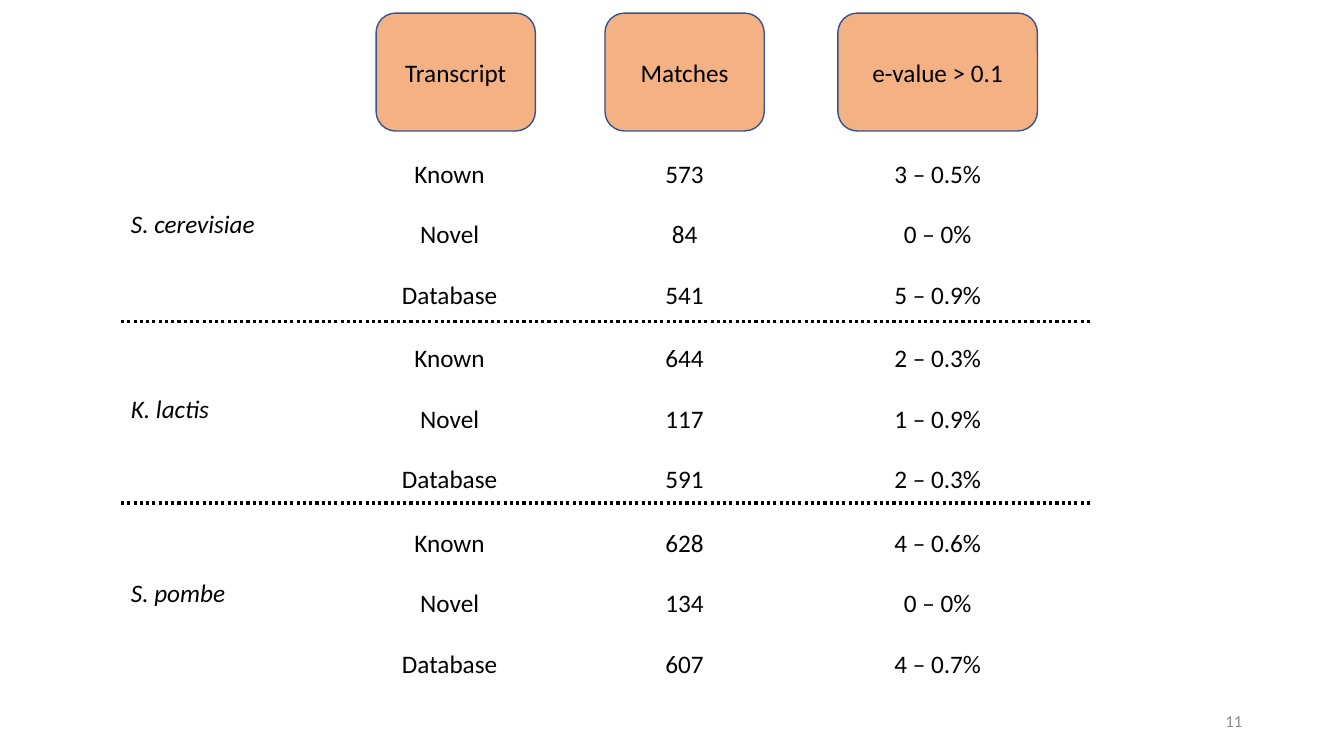
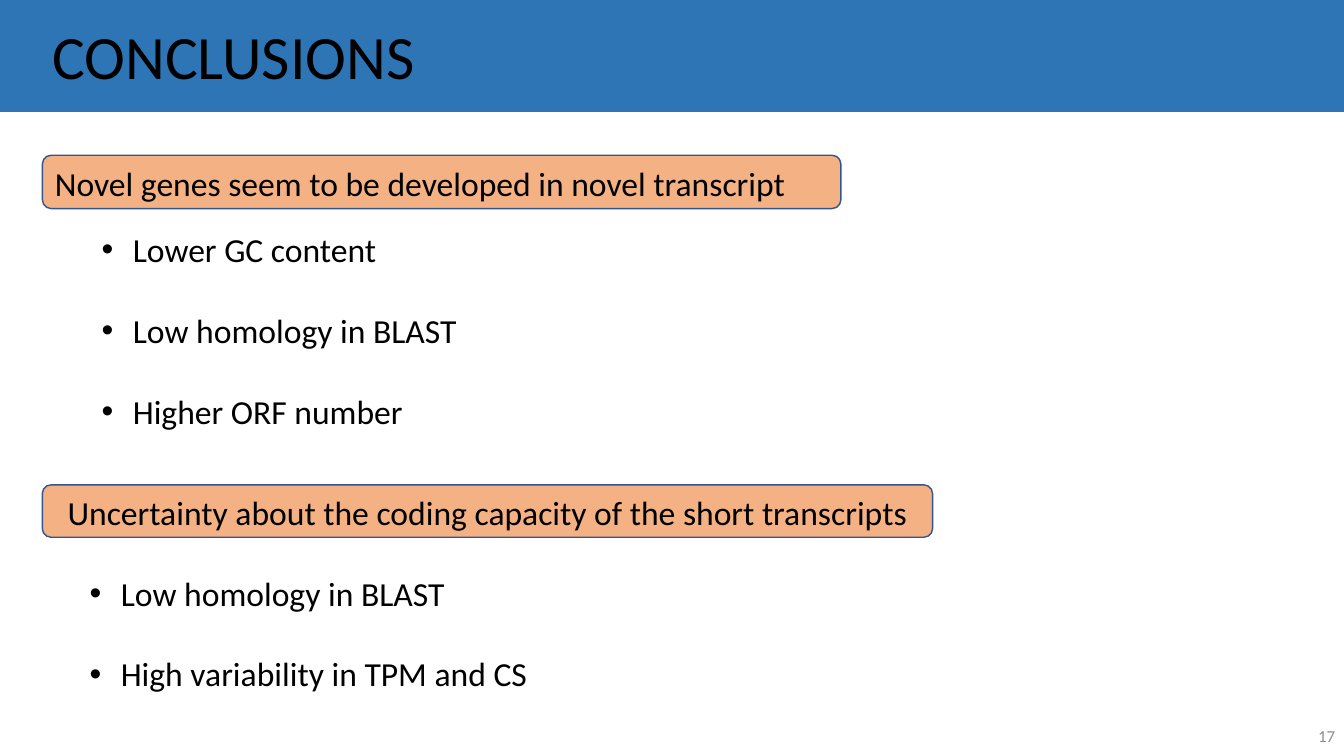
from dataclasses import dataclass

from lxml import etree
from pptx import Presentation
from pptx.dml.color import RGBColor
from pptx.enum.dml import MSO_LINE
from pptx.enum.shapes import MSO_CONNECTOR, MSO_SHAPE
from pptx.enum.text import MSO_ANCHOR, PP_ALIGN
from pptx.oxml.ns import qn
from pptx.util import Inches, Pt

LEFT, CENTER, RIGHT = PP_ALIGN.LEFT, PP_ALIGN.CENTER, PP_ALIGN.RIGHT
TOP, MIDDLE = MSO_ANCHOR.TOP, MSO_ANCHOR.MIDDLE
ROUNDED, RECTANGLE = MSO_SHAPE.ROUNDED_RECTANGLE, MSO_SHAPE.RECTANGLE
STRAIGHT, DOTTED = MSO_CONNECTOR.STRAIGHT, MSO_LINE.ROUND_DOT


@dataclass(frozen=True)
class Theme:
    font: str = "Calibri"
    ink: RGBColor = RGBColor(0x00, 0x00, 0x00)
    muted: RGBColor = RGBColor(0x8C, 0x8C, 0x8C)
    band: RGBColor = RGBColor(0x2E, 0x75, 0xB6)
    card: RGBColor = RGBColor(0xF4, 0xB1, 0x83)
    card_edge: RGBColor = RGBColor(0x32, 0x54, 0x91)
    title_size: int = 44
    body_size: int = 24
    table_size: int = 18
    number_size: int = 12


theme = Theme()


def add_text(page, frame, lines, size, align=LEFT, anchor=TOP, color=theme.ink,
             italic=False, line_spacing=None, card=False):
    """Add one paragraph per line, in a plain text box or on a rounded card."""
    place = [Inches(length) for length in frame]
    if card:
        box = page.shapes.add_shape(ROUNDED, *place)
        box.shadow.inherit = False
        box.fill.solid()
        box.fill.fore_color.rgb = theme.card
        box.line.color.rgb = theme.card_edge
        box.line.width = Pt(1)
    else:
        box = page.shapes.add_textbox(*place)
    text = box.text_frame
    text.word_wrap = True
    text.vertical_anchor = anchor
    for index, line in enumerate(lines):
        para = text.paragraphs[0] if index == 0 else text.add_paragraph()
        para.alignment = align
        para.line_spacing = line_spacing
        span = para.add_run()
        span.text = line
        span.font.name = theme.font
        span.font.size = Pt(size)
        span.font.color.rgb = color
        span.font.italic = italic
    return box


def add_bullets(page, frame, lines):
    box = add_text(page, frame, lines, theme.body_size)
    for para in box.text_frame.paragraphs:
        para.space_after = Pt(29)
        properties = para._p.get_or_add_pPr()
        properties.set("marL", str(Inches(0.31)))
        properties.set("indent", str(-Inches(0.31)))
        etree.SubElement(properties, qn("a:buFont")).set("typeface", "Arial")
        etree.SubElement(properties, qn("a:buChar")).set("char", "•")


deck = Presentation()
deck.slide_width = Inches(13.33)
deck.slide_height = Inches(7.5)
blank = deck.slide_layouts[6]

# BLAST matches by species
matches_page = deck.slides.add_slide(blank)

# heading, card left, card width, values left
columns = [
    ("Transcript", 3.73, 1.58, 3.73),
    ("Matches", 6, 1.58, 6.06),
    ("e-value > 0.1", 8.31, 1.98, 8.57),
]
transcripts = ["Known", "Novel", "Database"]
species_groups = [
    ("S. cerevisiae", ["573", "84", "541"], ["3 – 0.5%", "0 – 0%", "5 – 0.9%"]),
    ("K. lactis", ["644", "117", "591"], ["2 – 0.3%", "1 – 0.9%", "2 – 0.3%"]),
    ("S. pombe", ["628", "134", "607"], ["4 – 0.6%", "0 – 0%", "4 – 0.7%"]),
]
first_group_top, group_height = 1.22, 1.83

for heading, left, width, _ in columns:
    add_text(matches_page, (left, 0.13, width, 1.17), [heading], theme.table_size,
             align=CENTER, anchor=MIDDLE, card=True)

for index, (species, matches, weak_matches) in enumerate(species_groups):
    top = first_group_top + index * group_height
    add_text(matches_page, (1.2, top + 0.8, 1.8, 0.4), [species], theme.table_size,
             italic=True)
    for column, values in zip(columns, (transcripts, matches, weak_matches)):
        add_text(matches_page, (column[3], top, 1.46, group_height), values,
                 theme.table_size, align=CENTER, line_spacing=2.0)

for height in (3.19, 4.99):
    divider = matches_page.shapes.add_connector(
        STRAIGHT, Inches(1.2), Inches(height), Inches(10.81), Inches(height))
    divider.line.color.rgb = theme.ink
    divider.line.width = Pt(2.25)
    divider.line.dash_style = DOTTED
    etree.SubElement(divider._element.spPr, qn("a:effectLst"))

# Conclusions
conclusions_page = deck.slides.add_slide(blank)

band = conclusions_page.shapes.add_shape(RECTANGLE, 0, 0, deck.slide_width, Inches(1.11))
band.shadow.inherit = False
band.fill.solid()
band.fill.fore_color.rgb = theme.band
band.line.fill.background()
add_text(conclusions_page, (0.42, -0.13, 11.5, 1.45), ["CONCLUSIONS"],
         theme.title_size, anchor=MIDDLE, line_spacing=0.9)

# card frame, alignment, statement, bullets frame, evidence
conclusions = [
    ((0.42, 1.54, 7.92, 0.53), LEFT,
     "Novel genes seem to be developed in novel transcript",
     (0.91, 2.22, 4.53, 2.12),
     ["Lower GC content", "Low homology in BLAST", "Higher ORF number"]),
    ((0.42, 4.81, 8.83, 0.52), CENTER,
     "Uncertainty about the coding capacity of the short transcripts",
     (0.79, 5.63, 4.69, 1.31),
     ["Low homology in BLAST", "High variability in TPM and CS"]),
]
for card_frame, align, statement, bullets_frame, evidence in conclusions:
    add_text(conclusions_page, card_frame, [statement], theme.body_size,
             align=align, card=True)
    add_bullets(conclusions_page, bullets_frame, evidence)

# Page numbers
for page, left, top, number in ((matches_page, 9.42, 6.95, "11"),
                                (conclusions_page, 10.34, 7.1, "17")):
    add_text(page, (left, top, 3, 0.4), [number], theme.number_size,
             align=RIGHT, anchor=MIDDLE, color=theme.muted)

deck.save("out.pptx")
